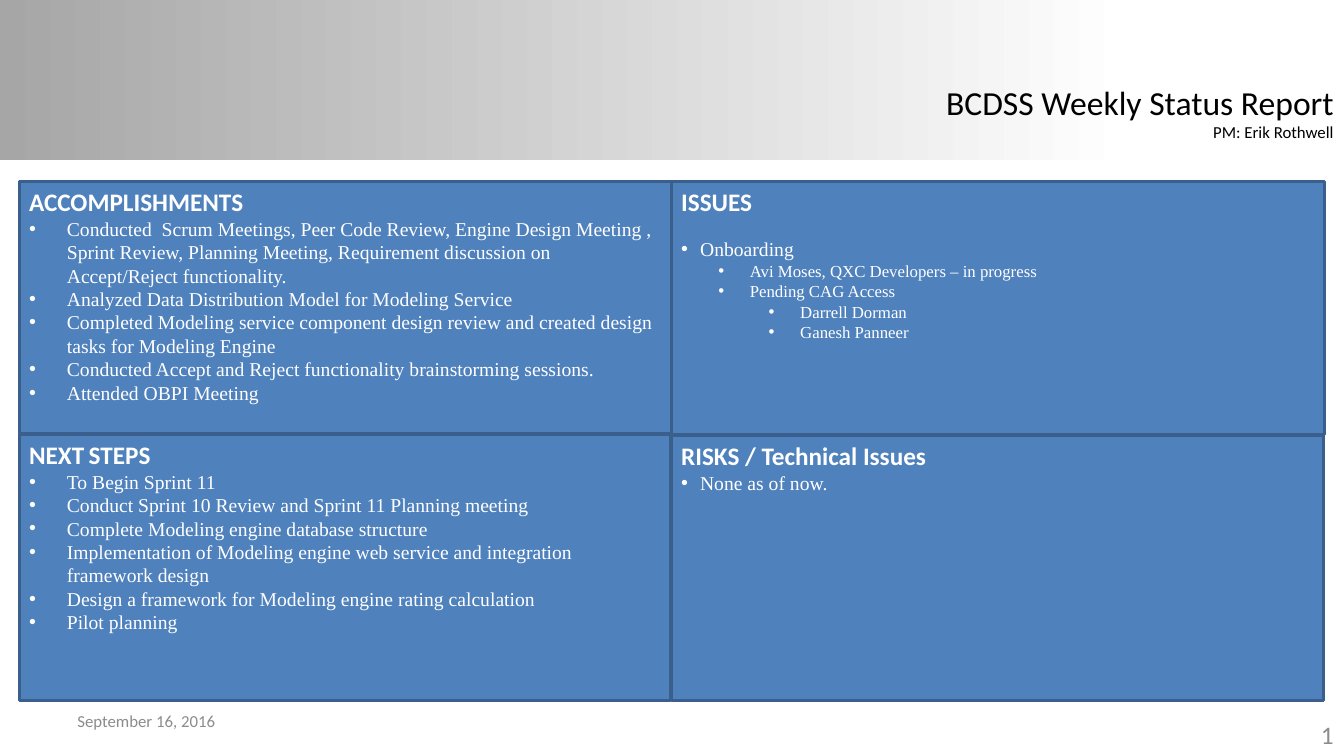
from lxml import etree
from pptx import Presentation
from pptx.dml.color import RGBColor
from pptx.enum import shapes, text
from pptx.oxml import ns
from pptx.util import Pt

WHITE = RGBColor(0xFF, 0xFF, 0xFF)
BLACK = RGBColor(0, 0, 0)
GRAY = RGBColor(0x8C, 0x8C, 0x8C)
BAND_GRAY = RGBColor(0xA6, 0xA6, 0xA6)
BLUE = RGBColor(0x4F, 0x81, 0xBD)
EDGE_BLUE = RGBColor(0x3A, 0x5F, 0x8C)
HEAD_FONT, BODY_FONT = "Calibri", "Times New Roman"

# Bullet styles: level, left margin, hanging indent, size, line height
WIDE = (0, 27, 27, 14, 16.75)
NARROW = (0, 13.5, 13.5, 14, 16.75)
SUB = (1, 49, 22.5, 12, 14.6)
SUBSUB = (2, 85, 22.5, 12, 14.6)

# Content: panel box, heading runs, gap below heading, bullets
PANELS = [
    ((13.7, 129.6, 465.8, 180), [("ACCOMPLISHMENTS", 18)], 0, [
        (WIDE, "Conducted  Scrum Meetings, Peer Code Review, Engine Design Meeting , "
               "Sprint Review, Planning Meeting, Requirement discussion on "
               "Accept/Reject functionality."),
        (WIDE, "Analyzed Data Distribution Model for Modeling Service"),
        (WIDE, "Completed Modeling service component design review and created "
               "design tasks for Modeling Engine"),
        (WIDE, "Conducted Accept and Reject functionality brainstorming sessions."),
        (WIDE, "Attended OBPI Meeting"),
    ]),
    ((13.7, 310.3, 465.1, 190.1), [("NEXT", 18), (" ", 14), ("STEPS", 18)], 0, [
        (WIDE, "To Begin Sprint 11"),
        (WIDE, "Conduct Sprint 10 Review and Sprint 11 Planning meeting"),
        (WIDE, "Complete Modeling engine database structure"),
        (WIDE, "Implementation of Modeling engine web service and integration "
               "framework design"),
        (WIDE, "Design a framework for Modeling engine rating calculation"),
        (WIDE, "Pilot planning"),
    ]),
    ((479.5, 129.6, 466.6, 180.7), [("ISSUES", 18)], 14.3, [
        (NARROW, "Onboarding"),
        (SUB, "Avi Moses, QXC Developers – in progress"),
        (SUB, "Pending CAG Access"),
        (SUBSUB, "Darrell Dorman"),
        (SUBSUB, "Ganesh Panneer"),
    ]),
    ((479.5, 311, 465.8, 189.4), [("RISKS / Technical Issues", 18)], 0, [
        (NARROW, "None as of now."),
    ]),
]

# Labels: box, anchor, alignment, wrap, colour, lines of (text, size)
TOP, MIDDLE = text.MSO_ANCHOR.TOP, text.MSO_ANCHOR.MIDDLE
LEFT, RIGHT = text.PP_ALIGN.LEFT, text.PP_ALIGN.RIGHT
LABELS = [
    ((735.8, 510.5, 223.9, 28.8), MIDDLE, RIGHT, True, GRAY, [("1", 18)]),
    ((666, 54.7, 293.8, 51.1), TOP, RIGHT, False, BLACK,
     [("BCDSS Weekly Status Report", 24), ("PM: Erik Rothwell", 12)]),
    ((48.2, 500.4, 223.9, 28.8), MIDDLE, LEFT, True, GRAY,
     [("September 16, 2016", 12)]),
]


def add_run(paragraph, words, size, font, color, bold=False):
    run = paragraph.add_run()
    run.text = words
    run.font.size = Pt(size)
    run.font.name = font
    run.font.bold = bold
    run.font.color.rgb = color


def add_rect(slide, box):
    rect = slide.shapes.add_shape(shapes.MSO_SHAPE.RECTANGLE, *map(Pt, box))
    rect.shadow.inherit = False
    return rect


def add_bullet(frame, style, words):
    level, margin, hang, size, line_height = style
    bullet = frame.add_paragraph()
    bullet.level = level
    bullet.alignment = LEFT
    bullet.line_spacing = Pt(line_height)
    props = bullet._p.get_or_add_pPr()
    props.set("marL", str(Pt(margin)))
    props.set("indent", str(-Pt(hang)))
    etree.SubElement(props, ns.qn("a:buFont"), typeface="Arial")
    etree.SubElement(props, ns.qn("a:buChar"), char="•")
    add_run(bullet, words, size, BODY_FONT, WHITE)
    return bullet


def add_panel(slide, box, heading, gap, bullets):
    panel = add_rect(slide, box)
    panel.fill.solid()
    panel.fill.fore_color.rgb = BLUE
    panel.line.color.rgb = EDGE_BLUE
    panel.line.width = Pt(2)
    frame = panel.text_frame
    frame.word_wrap = True
    frame.vertical_anchor = TOP
    title = frame.paragraphs[0]
    title.alignment = LEFT
    title.space_after = Pt(gap)
    for words, size in heading:
        add_run(title, words, size, HEAD_FONT, WHITE, bold=True)
    for style, words in bullets:
        add_bullet(frame, style, words)


def add_label(slide, box, anchor, align, wrap, color, lines):
    frame = slide.shapes.add_textbox(*map(Pt, box)).text_frame
    frame.word_wrap = wrap
    frame.vertical_anchor = anchor
    for i, (words, size) in enumerate(lines):
        line = frame.add_paragraph() if i else frame.paragraphs[0]
        line.alignment = align
        add_run(line, words, size, HEAD_FONT, color)


def main():
    deck = Presentation()
    deck.slide_width, deck.slide_height = Pt(960), Pt(540)
    slide = deck.slides.add_slide(deck.slide_layouts[6])

    # Header band fading to white
    band = add_rect(slide, (0, 0, 960, 114))
    band.line.fill.background()
    band.fill.gradient()
    band.fill.gradient_angle = 0
    fade = ((0, BAND_GRAY), (0.84, WHITE))
    for stop, (position, color) in zip(band.fill.gradient_stops, fade):
        stop.position = position
        stop.color.rgb = color

    # Status panels, then title, date and page number
    for panel in PANELS:
        add_panel(slide, *panel)
    for label in LABELS:
        add_label(slide, *label)
    deck.save("out.pptx")


if __name__ == "__main__":
    main()
